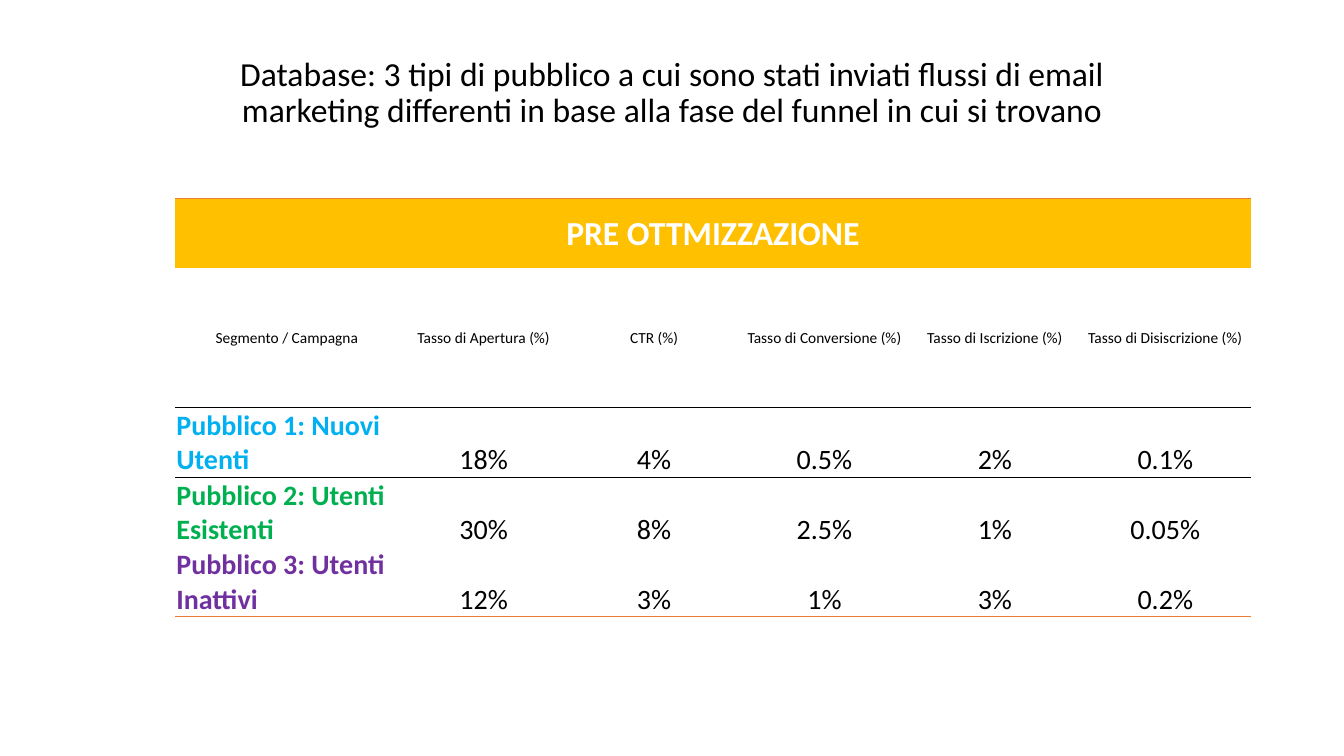
from lxml.etree import SubElement
from pptx import Presentation
from pptx.dml.color import RGBColor
from pptx.enum.text import MSO_ANCHOR, MSO_AUTO_SIZE, PP_ALIGN
from pptx.oxml.ns import qn
from pptx.util import Inches, Pt

INK = {
    "black": "000000", "white": "FFFFFF", "gold": "FFC000", "orange": "ED7D31",
    "blue": "00B0F0", "green": "00B050", "purple": "7030A0",
}
TITLE = ("Database: 3 tipi di pubblico a cui sono stati inviati flussi di email "
         "marketing differenti in base alla fase del funnel in cui si trovano")
BANNER = "PRE OTTMIZZAZIONE"
HEADS = ["Segmento / Campagna", "Tasso di Apertura (%)", "CTR (%)",
         "Tasso di Conversione (%)", "Tasso di Iscrizione (%)",
         "Tasso di Disiscrizione (%)"]
GROUPS = [
    ("Pubblico 1: Nuovi Utenti", "blue", ["18%", "4%", "0.5%", "2%", "0.1%"]),
    ("Pubblico 2: Utenti Esistenti", "green", ["30%", "8%", "2.5%", "1%", "0.05%"]),
    ("Pubblico 3: Utenti Inattivi", "purple", ["12%", "3%", "1%", "3%", "0.2%"]),
]
# Horizontal rules, keyed by the number of rows above them
RULES = {0: "orange", 2: "black", 3: "black", 5: "orange"}


class Deck:
    font = "Calibri"

    def __init__(self):
        self.prs = Presentation()
        self.prs.slide_width = Inches(13.33)
        self.prs.slide_height = Inches(7.5)
        self.slide = self.prs.slides.add_slide(self.prs.slide_layouts[0])
        for holder in list(self.slide.placeholders):
            if holder != self.slide.shapes.title:
                holder.element.getparent().remove(holder.element)

    def wide(self, share):
        """Turn a percentage of the slide width into a length."""
        return int(self.prs.slide_width * share / 100)

    def high(self, share):
        """Turn a percentage of the slide height into a length."""
        return int(self.prs.slide_height * share / 100)

    def text(self, frame, words, size, ink="black", bold=False, align=PP_ALIGN.CENTER):
        par = frame.paragraphs[0]
        par.alignment = align
        run = par.add_run()
        run.text = words
        run.font.name, run.font.size, run.font.bold = self.font, Pt(size), bold
        run.font.color.rgb = RGBColor.from_string(INK[ink])
        return par

    def title(self, words, left, top, width, height):
        box = self.slide.shapes.title
        box.left, box.top = self.wide(left), self.high(top)
        box.width, box.height = self.wide(width), self.high(height)
        frame = box.text_frame
        frame.word_wrap = True
        frame.auto_size = MSO_AUTO_SIZE.NONE
        frame.vertical_anchor = MSO_ANCHOR.BOTTOM
        self.text(frame, words, 24).line_spacing = 0.9

    def table(self, left, top, cols, rows):
        frame = self.slide.shapes.add_table(
            len(rows), len(cols), self.wide(left), self.high(top),
            self.wide(sum(cols)), self.high(sum(rows)))
        grid = frame.table
        grid.first_row = grid.horz_banding = False
        for col, share in zip(grid.columns, cols):
            col.width = self.wide(share)
        for num, (row, share) in enumerate(zip(grid.rows, rows)):
            row.height = self.high(share)
            for cell in row.cells:
                self.edge(cell, RULES.get(num), RULES.get(num + 1))
                cell.fill.background()
                cell.margin_left = cell.margin_right = cell.margin_top = Inches(0.01)
                cell.margin_bottom = 0
                cell.vertical_anchor = MSO_ANCHOR.MIDDLE
        return grid

    def edge(self, cell, top, base):
        """Draw the top and bottom borders and clear the side ones."""
        props = cell._tc.get_or_add_tcPr()
        for tag, ink in (("a:lnL", None), ("a:lnR", None), ("a:lnT", top), ("a:lnB", base)):
            line = SubElement(props, qn(tag), w=str(Pt(1)))
            if ink:
                fill = SubElement(line, qn("a:solidFill"))
                SubElement(fill, qn("a:srgbClr"), val=INK[ink])
            else:
                SubElement(line, qn("a:noFill"))


def main():
    deck = Deck()
    deck.title(TITLE, 12.5, 0, 75, 17.87)

    row = 9.22
    grid = deck.table(13.05, 26.27, [16.6] + [12.68] * 5, [row, 2 * row] + [row] * 3)

    banner = grid.cell(0, 0)
    banner.merge(grid.cell(0, len(HEADS) - 1))
    banner.fill.solid()
    banner.fill.fore_color.rgb = RGBColor.from_string(INK["gold"])
    deck.text(banner.text_frame, BANNER, 24, "white", True)

    for col, head in enumerate(HEADS):
        deck.text(grid.cell(1, col).text_frame, head, 11)

    for num, (name, ink, rates) in enumerate(GROUPS, 2):
        deck.text(grid.cell(num, 0).text_frame, name, 20, ink, True, PP_ALIGN.LEFT)
        for col, rate in enumerate(rates, 1):
            cell = grid.cell(num, col)
            cell.vertical_anchor = MSO_ANCHOR.BOTTOM
            deck.text(cell.text_frame, rate, 20)

    deck.prs.save("out.pptx")


if __name__ == "__main__":
    main()
